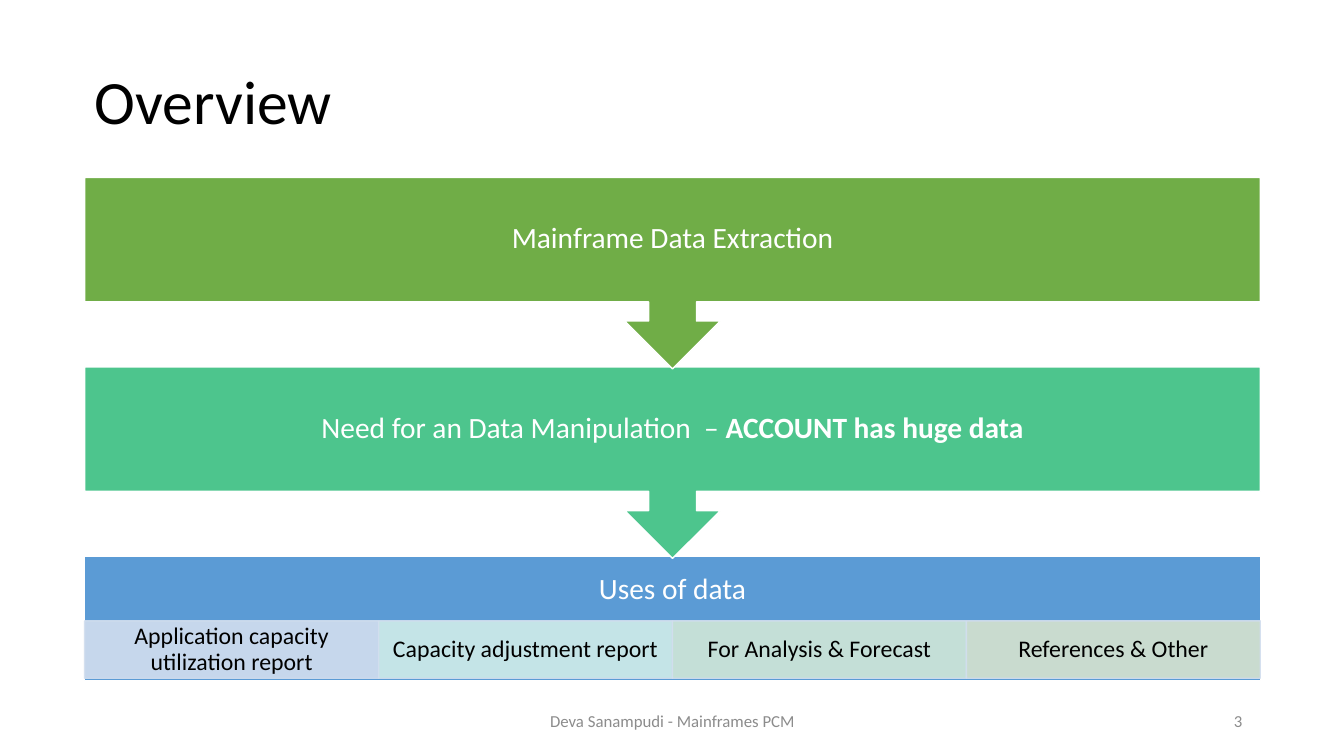
from lxml.etree import SubElement
from pptx import Presentation
from pptx.dml.color import RGBColor
from pptx.enum.shapes import MSO_SHAPE as SHAPE
from pptx.enum.text import MSO_ANCHOR as ANCHOR, PP_ALIGN as ALIGN
from pptx.oxml.ns import qn
from pptx.util import Inches, Pt

FONT = "Calibri"
WHITE, BLACK, GREY = "FFFFFF", "000000", "8C8C8C"
STEP_H, BAND_H, PITCH = 1.9, 1.23, 1.88
STEP_TEXT = {"size": 21, "color": WHITE, "margins": (0.16, 0.16)}
USE_TEXT = {"size": 17, "color": BLACK, "margins": (0.13, 0.02)}
FOOTER_TEXT = {"size": 12, "color": GREY, "spacing": 1.0}

STEPS = [
    ("70AD47", [("Mainframe Data Extraction", False)]),
    ("4DC58D", [("Need for an Data Manipulation  – ", False),
                ("ACCOUNT has huge data", True)]),
]
USES = [
    ("D2DEEF", "Application capacity utilization report"),
    ("D0ECEA", "Capacity adjustment report"),
    ("D0E7D8", "For Analysis & Forecast"),
    ("D5E3CF", "References & Other"),
]


def rgb(value):
    """Turn a hex string into a colour."""
    return RGBColor.from_string(value)


def set_alpha(fill, percent):
    """Make a solid fill partly transparent."""
    color = fill._xPr.find(qn("a:solidFill"))[0]
    SubElement(color, qn("a:alpha")).set("val", str(percent * 1000))


def add_block(s, box, kind, fill, line=WHITE, alpha=None, rotation=0):
    """Draw a filled, outlined shape in the box."""
    sp = s.shapes.add_shape(kind, *map(Inches, box))
    sp.shadow.inherit = False
    sp.rotation = rotation
    sp.line.width = Pt(1)
    for part, color in ((sp.fill, fill), (sp.line.fill, line)):
        part.solid()
        part.fore_color.rgb = rgb(color)
        if alpha:
            set_alpha(part, alpha)


def add_text(s, box, runs, size, color, align=ALIGN.CENTER,
             margins=(0.1, 0.05), spacing=0.9):
    """Write one paragraph of (text, bold) runs, centred vertically in the box."""
    tf = s.shapes.add_textbox(*map(Inches, box)).text_frame
    side, edge = map(Inches, margins)
    frame = {"word_wrap": True, "vertical_anchor": ANCHOR.MIDDLE,
             "margin_left": side, "margin_right": side,
             "margin_top": edge, "margin_bottom": edge}
    for name, value in frame.items():
        setattr(tf, name, value)
    p = tf.paragraphs[0]
    p.alignment, p.line_spacing = align, spacing
    for text, bold in runs:
        r = p.add_run()
        r.text = text
        for name, value in {"name": FONT, "size": Pt(size), "bold": bold}.items():
            setattr(r.font, name, value)
        r.font.color.rgb = rgb(color)


def add_uses(s, box):
    """Draw the last band with its row of equal cells."""
    x, y, w, h = box
    add_block(s, box, SHAPE.RECTANGLE, "5B9BD5")
    add_text(s, (x, y, w, 0.67), [("Uses of data", False)], **STEP_TEXT)
    cell_w = w / len(USES)
    for i, (fill, text) in enumerate(USES):
        cell = (x + i * cell_w, y + 0.64, cell_w, 0.57)
        add_block(s, cell, SHAPE.RECTANGLE, fill, line="D2DEEF", alpha=90)
        add_text(s, cell, [(text, False)], **USE_TEXT)


def add_process(s, box):
    """Stack the steps from the bottom up so each arrow overlaps the next band."""
    x, y, w, h = box
    add_uses(s, (x, y + len(STEPS) * PITCH, w, BAND_H))
    for i, (fill, runs) in reversed(list(enumerate(STEPS))):
        top = y + i * PITCH
        add_block(s, (x, top, w, STEP_H), SHAPE.UP_ARROW_CALLOUT, fill, rotation=180)
        add_text(s, (x, top, w, BAND_H), runs, **STEP_TEXT)


def add_footer(s, box):
    """Write the footer text and the slide number."""
    x, y, w, h = box
    add_text(s, (x, y, 4.5, h), [("Deva Sanampudi - Mainframes PCM", False)],
             **FOOTER_TEXT)
    add_text(s, (x + w - 3, y, 3, h), [("3", False)], align=ALIGN.RIGHT,
             **FOOTER_TEXT)


def build():
    """Build the overview slide and save it."""
    prs = Presentation()
    prs.slide_width, prs.slide_height = Inches(13.33), Inches(7.5)
    s = prs.slides.add_slide(prs.slide_layouts[6])
    add_process(s, (0.84, 1.76, 11.66, 4.99))
    add_footer(s, (4.42, 6.95, 8, 0.4))
    add_text(s, (0.84, 0.31, 11.5, 1.45), [("Overview", False)], 44, BLACK,
             align=ALIGN.LEFT)
    prs.save("out.pptx")


build()
